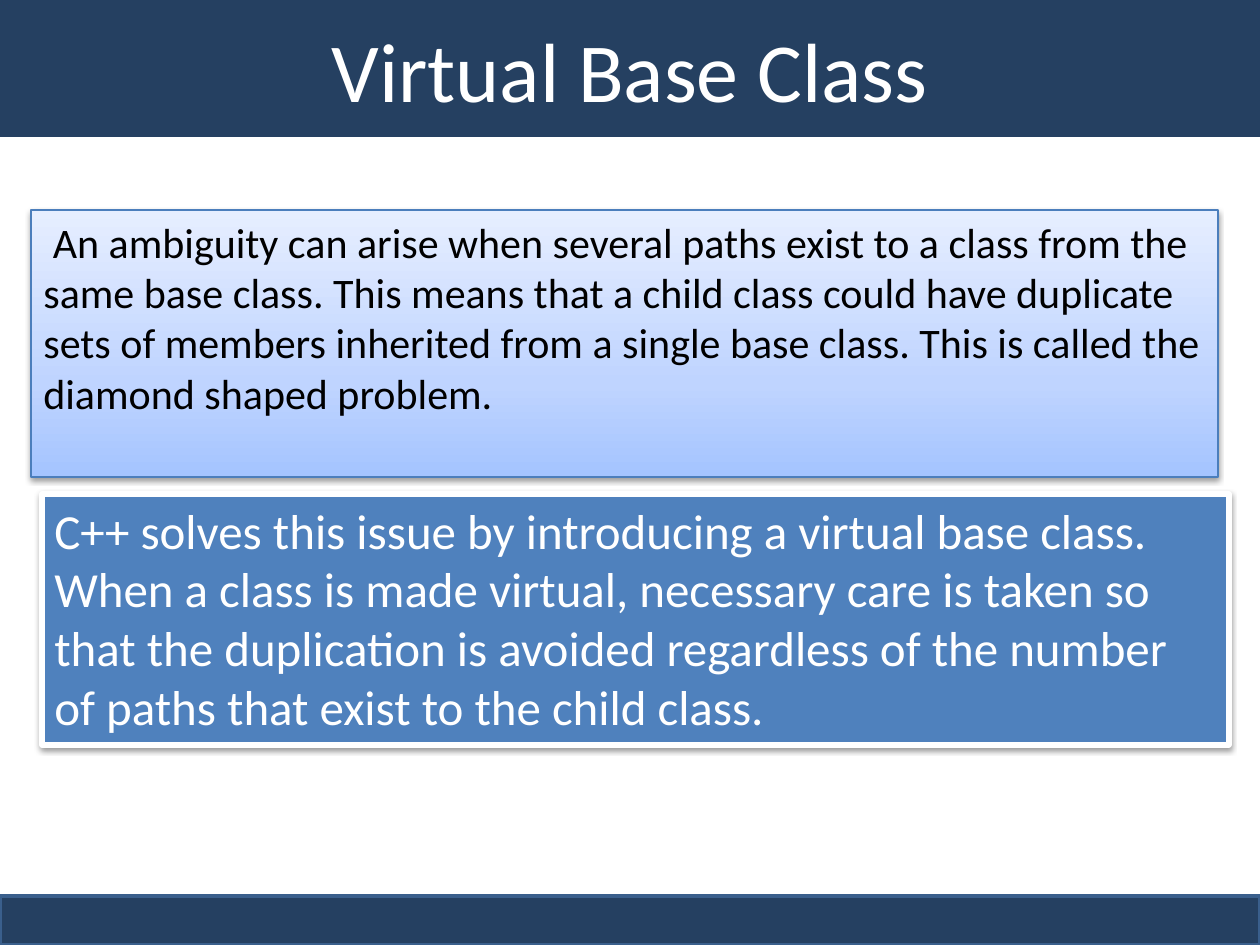
from copy import deepcopy
from dataclasses import dataclass
from typing import Optional

from lxml.etree import SubElement
from pptx import Presentation
from pptx.dml.color import RGBColor
from pptx.enum.shapes import MSO_SHAPE
from pptx.enum.text import MSO_ANCHOR, PP_ALIGN
from pptx.oxml.ns import qn
from pptx.util import Emu, Pt

PX_PER_INCH = 126
SLIDE_WIDTH, SLIDE_HEIGHT = 1260, 945

NAVY = RGBColor(0x25, 0x40, 0x61)
FOOTER_EDGE = RGBColor(0x3A, 0x5F, 0x8C)
PANEL_EDGE = RGBColor(0x4B, 0x7E, 0xBC)
BLUE = RGBColor(0x4F, 0x81, 0xBD)
WHITE = RGBColor(0xFF, 0xFF, 0xFF)
BLACK = RGBColor(0x00, 0x00, 0x00)
PALE_BLUES = (
    (0, RGBColor(0xA4, 0xC4, 0xFF)),
    (0.35, RGBColor(0xBF, 0xD4, 0xFF)),
    (1, RGBColor(0xE6, 0xEE, 0xFF)),
)


@dataclass
class Panel:
    left: int
    top: int
    width: int
    height: int
    fill: Optional[RGBColor] = None  # None gives the pale blue gradient
    edge: Optional[RGBColor] = None
    edge_pt: float = 0
    shadow: bool = False
    text: str = ""
    size_pt: int = 24
    color: RGBColor = WHITE
    align: PP_ALIGN = PP_ALIGN.LEFT
    anchor: MSO_ANCHOR = MSO_ANCHOR.TOP


PANELS = (
    # Title band
    Panel(0, 0, SLIDE_WIDTH, 137, fill=NAVY, text="Virtual Base Class",
          size_pt=48, align=PP_ALIGN.CENTER, anchor=MSO_ANCHOR.MIDDLE),
    # Footer band
    Panel(0, 896, SLIDE_WIDTH, 49, fill=NAVY, edge=FOOTER_EDGE, edge_pt=2),
    # The problem
    Panel(31, 210, 1187, 267, edge=PANEL_EDGE, edge_pt=0.75, shadow=True,
          text="\N{NO-BREAK SPACE}An ambiguity can arise when several paths exist to a class "
               "from the same base class. This means that a child class could "
               "have duplicate sets of members inherited from a single base "
               "class. This is called the diamond shaped problem.",
          color=BLACK),
    # The solution
    Panel(42, 494, 1187, 251, fill=BLUE, edge=WHITE, edge_pt=3, shadow=True,
          text="C++ solves this issue by introducing a virtual base class. "
               "When a class is made virtual, necessary care is taken so that "
               "the duplication is avoided regardless of the number of paths "
               "that exist to the child class.",
          size_pt=28),
)


def px(length: int) -> Emu:
    return Emu(round(length * 914400 / PX_PER_INCH))


def fill_gradient(shape) -> None:
    shape.fill.gradient()
    shape.fill.gradient_angle = 90
    stop_list = shape._element.spPr.find(".//" + qn("a:gsLst"))
    stop_list.append(deepcopy(stop_list[-1]))
    for stop, (position, color) in zip(shape.fill.gradient_stops, PALE_BLUES):
        stop.position = position
        stop.color.rgb = color


def add_shadow(shape) -> None:
    effects = shape._element.spPr.find(qn("a:effectLst"))
    outer = SubElement(effects, qn("a:outerShdw"), blurRad=str(Pt(3.1)),
                       dist=str(Pt(1.6)), dir="5400000", rotWithShape="0")
    color = SubElement(outer, qn("a:srgbClr"), val=str(BLACK))
    SubElement(color, qn("a:alpha"), val="38000")


def write_text(shape, panel: Panel) -> None:
    frame = shape.text_frame
    frame.word_wrap = True
    frame.vertical_anchor = panel.anchor
    paragraph = frame.paragraphs[0]
    paragraph.text = panel.text
    paragraph.alignment = panel.align
    paragraph.font.name = "Calibri"
    paragraph.font.size = Pt(panel.size_pt)
    paragraph.font.color.rgb = panel.color


def draw_panel(slide, panel: Panel) -> None:
    shape = slide.shapes.add_shape(
        MSO_SHAPE.RECTANGLE, px(panel.left), px(panel.top),
        px(panel.width), px(panel.height))
    if panel.fill is None:
        fill_gradient(shape)
    else:
        shape.fill.solid()
        shape.fill.fore_color.rgb = panel.fill
    if panel.edge is None:
        shape.line.fill.background()
    else:
        shape.line.color.rgb = panel.edge
        shape.line.width = Pt(panel.edge_pt)
    shape.shadow.inherit = False
    if panel.shadow:
        add_shadow(shape)
    if panel.text:
        write_text(shape, panel)


def main() -> None:
    presentation = Presentation()
    presentation.slide_width = px(SLIDE_WIDTH)
    presentation.slide_height = px(SLIDE_HEIGHT)
    slide = presentation.slides.add_slide(presentation.slide_layouts[6])
    for panel in PANELS:
        draw_panel(slide, panel)
    presentation.save("out.pptx")


if __name__ == "__main__":
    main()
